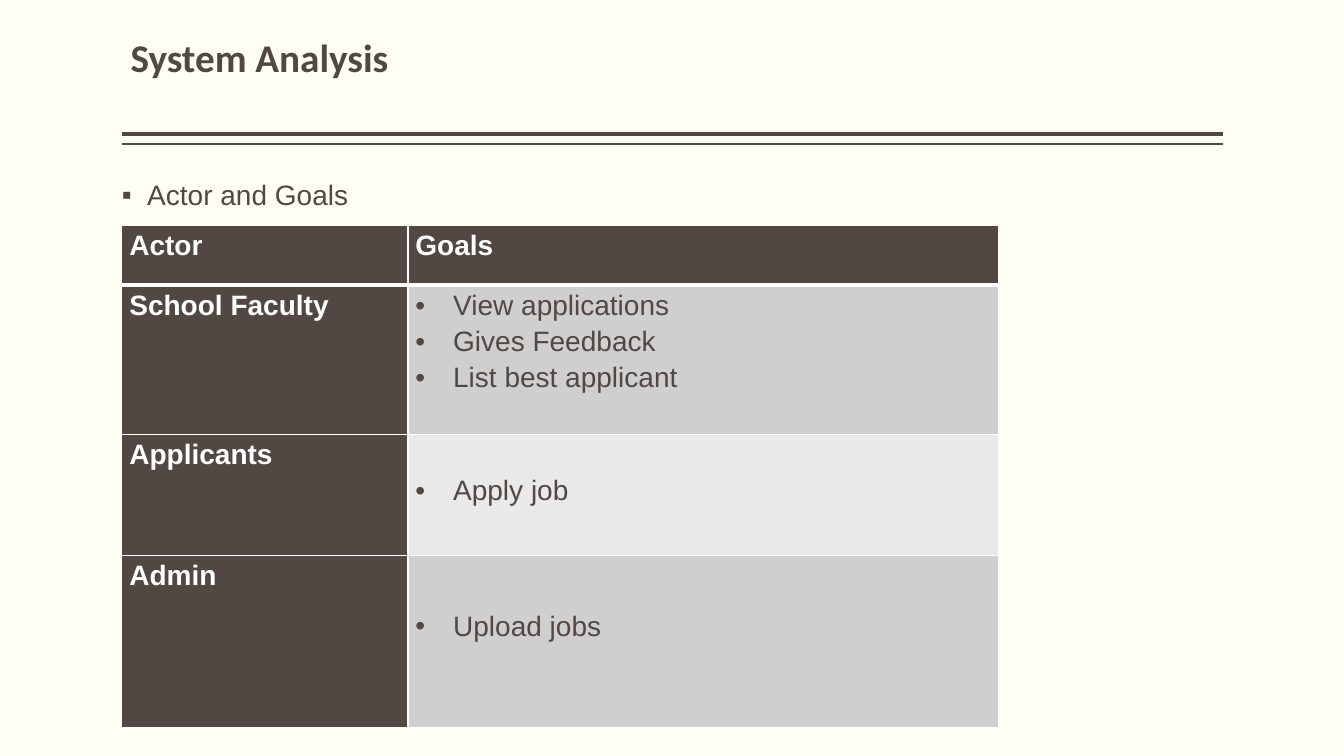
from lxml.etree import SubElement
from pptx import Presentation
from pptx.dml.color import RGBColor
from pptx.enum.shapes import MSO_CONNECTOR as Connector
from pptx.enum.text import MSO_ANCHOR as Anchor, MSO_AUTO_SIZE as AutoSize, PP_ALIGN as Align
from pptx.oxml import parse_xml
from pptx.oxml.ns import nsdecls, qn
from pptx.util import Cm, Pt

CREAM = RGBColor(0xFF, 0xFF, 0xF3)
BROWN = RGBColor(0x51, 0x48, 0x43)
WHITE = RGBColor(0xFF, 0xFF, 0xFF)
GREY = RGBColor(0xD0, 0xCF, 0xCF)
PALE = RGBColor(0xE9, 0xE9, 0xE9)

LEFT, WIDTH = Cm(3.07), Cm(27.74)
COLUMNS = (Cm(7.21), Cm(14.88))
# Actor, goals, row height, space above the goals, fill of the goals
ACTORS = (
    ("School Faculty", ("View applications", "Gives Feedback", "List best applicant"),
     Cm(3.76), Cm(0), GREY),
    ("Applicants", ("Apply job",), Cm(3.05), Cm(0.91), PALE),
    ("Admin", ("Upload jobs",), Cm(4.34), Cm(1.27), GREY),
)


def apply_format(target, values):
    for name, value in values.items():
        setattr(target, name, value)


def add_span(para, text, color, size=20, bold=False, face="Arial"):
    span = para.add_run()
    span.text = text
    apply_format(span.font, {"name": face, "size": Pt(size), "bold": bold})
    span.font.color.rgb = color


def set_bullet(para, char, indent):
    props = para._p.get_or_add_pPr()
    props.set("marL", str(indent))
    props.set("indent", str(-indent))
    SubElement(props, qn("a:buFont"), typeface="Arial")
    SubElement(props, qn("a:buChar"), char=char)


def place_box(box, top, height, values):
    apply_format(box, {"left": LEFT, "top": top, "width": WIDTH, "height": height})
    apply_format(box.text_frame, {
        "margin_left": 0, "margin_right": 0, "word_wrap": True,
        "auto_size": AutoSize.NONE, **values})
    para = box.text_frame.paragraphs[0]
    apply_format(para, {"alignment": Align.LEFT, "line_spacing": 0.9})
    return para


def add_rule(page, top, weight):
    rule = page.shapes.add_connector(Connector.STRAIGHT, LEFT, top, LEFT + WIDTH, top)
    rule.line.color.rgb = BROWN
    rule.line.width = Pt(weight)
    SubElement(rule._element.spPr, qn("a:effectLst"))


def set_borders(cell, top=1, bottom=1):
    props = cell._tc.get_or_add_tcPr()
    weights = {"lnL": 1, "lnR": 1, "lnT": top, "lnB": bottom}
    for position, (side, weight) in enumerate(weights.items()):
        props.insert(position, parse_xml(
            f'<a:{side} {nsdecls("a")} w="{Pt(weight)}"><a:solidFill>'
            f'<a:srgbClr val="{WHITE}"/></a:solidFill></a:{side}>'))


def fill_cell(cell, lines, fill, color=WHITE, bold=True, bullet=None, top=0):
    cell.fill.solid()
    cell.fill.fore_color.rgb = fill
    apply_format(cell, {"margin_left": Cm(0.19), "margin_right": Cm(0.19),
                        "margin_top": top, "margin_bottom": 0})
    frame = cell.text_frame
    for number, line in enumerate(lines):
        para = frame.add_paragraph() if number else frame.paragraphs[0]
        para.line_spacing = 1.15
        if bullet:
            set_bullet(para, bullet, Cm(0.95))
        add_span(para, line, color, bold=bold)


def add_actor_table(page):
    heights = [Cm(1.5)] + [actor[2] for actor in ACTORS]
    table = page.shapes.add_table(len(heights), len(COLUMNS), LEFT, Cm(5.69),
                                  sum(COLUMNS), sum(heights)).table
    for column, width in zip(table.columns, COLUMNS):
        column.width = width
    for row, height in zip(table.rows, heights):
        row.height = height
    for column, heading in enumerate(("Actor", "Goals")):
        fill_cell(table.cell(0, column), [heading], BROWN)
        set_borders(table.cell(0, column), bottom=3)
    for row, (actor, goals, _, space, fill) in enumerate(ACTORS, start=1):
        fill_cell(table.cell(row, 0), [actor], BROWN)
        fill_cell(table.cell(row, 1), goals, fill, BROWN, False, "•", space)
        for column in range(len(COLUMNS)):
            set_borders(table.cell(row, column), top=3 if row == 1 else 1)


def main():
    deck = Presentation()
    deck.slide_width, deck.slide_height = Cm(33.87), Cm(19.05)
    page = deck.slides.add_slide(deck.slide_layouts[1])
    page.background.fill.solid()
    page.background.fill.fore_color.rgb = CREAM

    # Title with the double rule
    para = place_box(page.shapes.title, Cm(0.2), Cm(3.05), {
        "vertical_anchor": Anchor.BOTTOM, "margin_left": Cm(0.22),
        "margin_bottom": Cm(1.22)})
    add_span(para, "System Analysis", BROWN, 28, True, "Calibri")
    add_rule(page, Cm(3.38), 3)
    add_rule(page, Cm(3.63), 1)

    # List heading
    para = place_box(page.placeholders[1], Cm(4.45), Cm(12.7),
                     {"vertical_anchor": Anchor.TOP})
    para.space_before = Pt(18)
    set_bullet(para, "▪", Cm(0.64))
    add_span(para, "Actor and Goals", BROWN)

    # Actors and their goals
    add_actor_table(page)
    deck.save("out.pptx")


if __name__ == "__main__":
    main()
